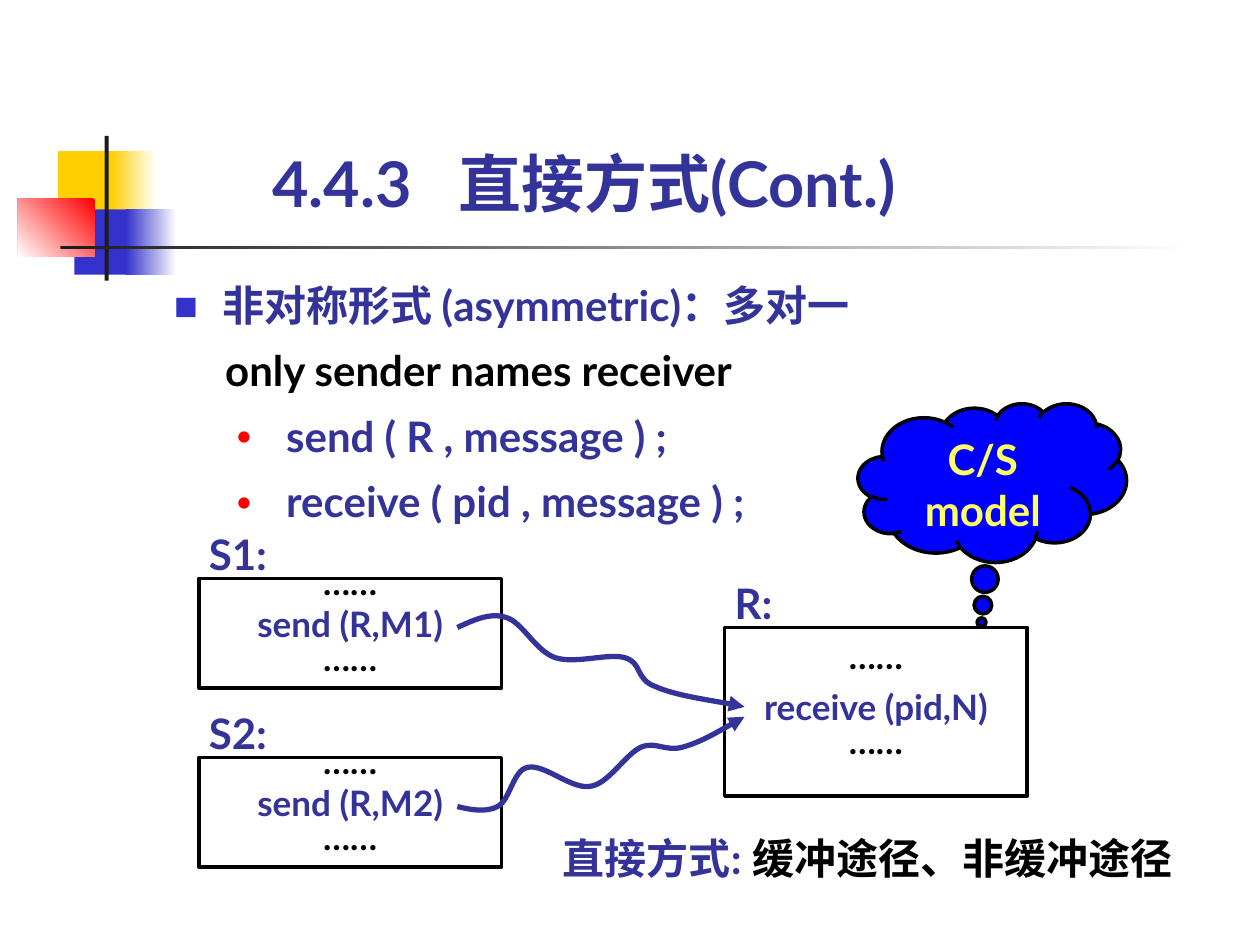
from dataclasses import dataclass
from lxml.etree import SubElement
from pptx import Presentation
from pptx.dml.color import RGBColor
from pptx.enum.shapes import MSO_SHAPE as Preset
from pptx.enum.text import MSO_ANCHOR as Anchor, PP_ALIGN as Align
from pptx.oxml.ns import qn
from pptx.util import Cm, Pt


@dataclass(frozen=True)
class Theme:
    font: str = "Lato"
    title: int = 36
    body: int = 24
    code: int = 20
    indigo: str = "333399"
    blue: str = "3333CC"
    cloud: str = "0000FF"
    yellow: str = "FFCF01"
    lemon: str = "FFFF66"
    red: str = "FF0000"
    dark: str = "1C1C1C"
    black: str = "000000"
    white: str = "FFFFFF"


theme = Theme()
rgb = RGBColor.from_string
deck = Presentation()
deck.slide_width, deck.slide_height = Cm(25.4), Cm(19.05)
shapes = deck.slides.add_slide(deck.slide_layouts[6]).shapes


def add_block(preset, place, fill, outline=None):
    block = shapes.add_shape(preset, *map(Cm, place))
    block.shadow.inherit = False
    block.fill.solid()
    block.fill.fore_color.rgb = rgb(fill)
    if outline:
        block.line.color.rgb = rgb(outline)
        block.line.width = Pt(2)
    else:
        block.line.fill.background()
    return block


def write(shape, lines, size, margins=(0, 0, 0, 0), anchor=Anchor.TOP, wrap=True):
    """Fill a shape with lines, each a list of (text, colour) runs."""
    frame = shape.text_frame
    frame.word_wrap, frame.vertical_anchor = wrap, anchor
    (frame.margin_left, frame.margin_top,
     frame.margin_right, frame.margin_bottom) = map(Cm, margins)
    frame.text = "\n".join("" for _ in lines)
    for paragraph, line in zip(frame.paragraphs, lines):
        for text, color in line:
            run = paragraph.add_run()
            run.text = text
            run.font.name, run.font.size, run.font.bold = theme.font, Pt(size), True
            run.font.color.rgb = rgb(color)
    return frame.paragraphs


# Corner ornament: place, left colour, right colour, gradient angle
ornament = [
    ((1.17, 3.05, 1.22, 1.32), theme.yellow, None, 0),
    ((2.24, 3.05, 0.91, 1.32), theme.yellow, theme.white, 0),
    ((1.5, 4.22, 1.17, 1.32), theme.blue, None, 0),
    ((2.54, 4.22, 1.02, 1.32), theme.blue, theme.white, 0),
    ((0.36, 4.01, 1.55, 1.17), theme.red, theme.white, 225),
    ((2.11, 2.74, 0.08, 2.92), theme.dark, None, 0),
    ((1.22, 4.95, 22.86, 0.08), theme.dark, theme.white, 0),
]
for place, start, end, angle in ornament:
    patch = add_block(Preset.RECTANGLE, place, start)
    if end:
        patch.fill.gradient()
        patch.fill.gradient_angle = angle
        for stop, color in zip(patch.fill.gradient_stops, (start, end)):
            stop.color.rgb = rgb(color)

# Title, with a tab between number and heading
title = shapes.add_textbox(Cm(5.49), Cm(2.92), Cm(14.2), Cm(1.52))
heading = write(title, [[("4.4.3\t直接方式(Cont.)", theme.indigo)]], theme.title,
                anchor=Anchor.BOTTOM)[0]
tabs = SubElement(heading._p.get_or_add_pPr(), qn("a:tabLst"))
SubElement(tabs, qn("a:tab"), pos=str(Cm(3.75)), algn="l")

# Outline: text, colour, left margin, first-line indent, (bullet, colour, percent)
dot = ("●", theme.red, 55)
outline = [
    ("非对称形式 (asymmetric)：多对一", theme.indigo, 0.97, -0.97, ("■", theme.blue, 60)),
    ("only sender names receiver", theme.black, 1.03, 0, None),
    ("send ( R , message ) ;", theme.indigo, 2.26, -0.99, dot),
    ("receive ( pid , message ) ;", theme.indigo, 2.26, -0.99, dot),
]
body = shapes.add_textbox(Cm(3.51), Cm(5.33), Cm(15.8), Cm(5.28))
items = write(body, [[(text, color)] for text, color, *_ in outline], theme.body)
for item, (_, _, margin, indent, bullet) in zip(items, outline):
    item.line_spacing = 1.3
    props = item._p.get_or_add_pPr()
    props.set("marL", str(Cm(margin)))
    props.set("indent", str(Cm(indent)))
    if bullet:
        symbol, color, percent = bullet
        SubElement(SubElement(props, qn("a:buClr")), qn("a:srgbClr"), val=color)
        SubElement(props, qn("a:buSzPct"), val=str(percent * 1000))
        SubElement(props, qn("a:buFont"), typeface=theme.font)
        SubElement(props, qn("a:buChar"), char=symbol)

# Processes: name, call, left, top, height, space before the call
processes = [
    ("S1:", "send (R,M1)", 4.01, 11.66, 2.21, 2.5),
    ("S2:", "send (R,M2)", 4.01, 15.27, 2.21, 2.5),
    ("R:", "receive (pid,N)", 14.61, 12.65, 3.4, 7.5),
]
dots = [("……", theme.black)]
for name, call, left, top, height, gap in processes:
    process = add_block(Preset.RECTANGLE, (left, top, 6.1, height), theme.white, theme.black)
    code = write(process, [dots, [(call, theme.indigo)], dots], theme.code,
                 (0, 0, 0, 0.41), Anchor.MIDDLE, wrap=False)
    for line in code:
        line.alignment, line.line_spacing = Align.CENTER, 0.8
    code[0].space_after, code[1].space_before = Pt(2.5), Pt(gap)
    label = shapes.add_textbox(Cm(left + 0.2), Cm(top - 0.81), Cm(1.4), Cm(0.81))
    write(label, [[(name, theme.indigo)]], theme.body)[0].line_spacing = 0.8

# Messages: a start point, then three Bézier points for each bend
messages = [
    [(9.22, 12.65),
     (9.55, 12.5), (9.88, 12.34), (10.21, 12.45),
     (10.54, 12.55), (10.8, 13.13), (11.2, 13.26),
     (11.61, 13.39), (12.27, 13.16), (12.6, 13.26),
     (12.95, 13.36), (12.8, 13.69), (13.21, 13.84),
     (13.61, 14.02), (14.68, 14.17), (15.01, 14.25)],
    [(9.22, 16.26),
     (9.5, 16.33), (9.8, 16.38), (10.03, 16.26),
     (10.29, 16.13), (10.34, 15.52), (10.64, 15.47),
     (10.97, 15.39), (11.53, 15.93), (11.91, 15.85),
     (12.27, 15.8), (12.62, 15.19), (12.93, 15.06),
     (13.23, 14.94), (13.41, 15.16), (13.77, 15.06),
     (14.12, 14.96), (14.55, 14.71), (15.01, 14.45)],
]
for points in messages:
    start, *bends = [(Cm(x), Cm(y)) for x, y in points]
    builder = shapes.build_freeform(*start)
    builder.add_line_segments(bends, close=False)
    message = builder.convert_to_shape()
    message.shadow.inherit = False
    message.fill.background()
    message.line.color.rgb = rgb(theme.indigo)
    message.line.width = Pt(3)
    SubElement(message._element.xpath(".//a:ln")[0], qn("a:tailEnd"), type="triangle")
    # Join each three straight steps into one cubic curve
    route = message._element.xpath(".//a:path")[0]
    steps = route.findall(qn("a:lnTo"))
    for first in range(0, len(steps), 3):
        bend = SubElement(route, qn("a:cubicBezTo"))
        for step in steps[first:first + 3]:
            bend.append(step[0])
            route.remove(step)

note = shapes.add_textbox(Cm(11.1), Cm(16.66), Cm(13), Cm(2.29))
inset = (0.25, 0.13, 0.25, 0.13)
write(note, [[("直接方式: ", theme.indigo), ("缓冲途径、非缓冲途径", theme.black)]],
      theme.body, inset)

cloud = add_block(Preset.CLOUD_CALLOUT, (17.3, 8.13, 5.41, 3.2), theme.cloud, theme.black)
cloud.adjustments[0], cloud.adjustments[1] = -0.04, 0.88
write(cloud, [[("C/S model", theme.lemon)]], theme.body, inset)[0].alignment = Align.CENTER

deck.save("out.pptx")
